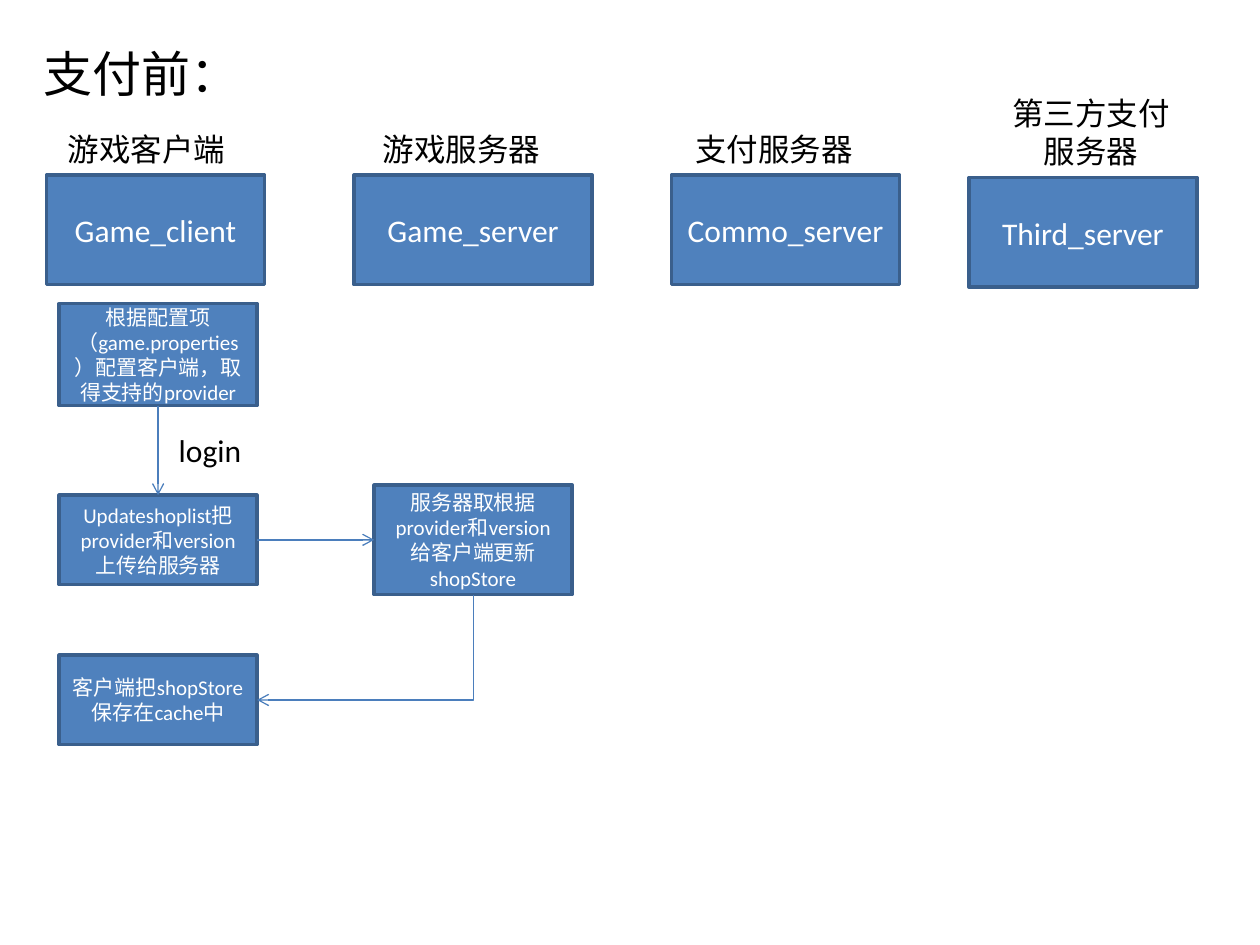
from lxml.etree import SubElement
from pptx import Presentation
from pptx.dml.color import RGBColor
from pptx.enum.shapes import MSO_CONNECTOR, MSO_SHAPE
from pptx.enum.text import MSO_ANCHOR, MSO_AUTO_SIZE, PP_ALIGN
from pptx.oxml.ns import qn
from pptx.util import Inches, Pt

COLORS = {"box": "4F81BD", "border": "3A5F8C", "arrow": "4B7EBC",
          "light": "FFFFFF", "dark": "000000"}
FONT = "Calibri"
COLUMNS, ROWS = 100, 75
CELL = Inches(10) // COLUMNS
TOP, LEFT, BOTTOM, RIGHT = range(4)

HEADER_HEIGHT = 8.7
STEP_WIDTH, STEP_HEIGHT = 15.7, 7.1
CLIENT_LEFT, SERVER_LEFT = 4.7, 29.7
LABEL_WIDTH = 16.4

SERVERS = [
    ("Game_client", 3.7, 13.9, 17.3),
    ("Game_server", 28.1, 13.9, 18.9),
    ("Commo_server", 53.3, 13.9, 18.1),
    ("Third_server", 76.9, 14.1, 18.1),
]
LABELS = [
    ("游戏客户端", 4.4, 9.8, 4, PP_ALIGN.LEFT),
    ("游戏服务器", 29.4, 9.8, 4, PP_ALIGN.LEFT),
    ("支付服务器", 54.2, 9.8, 4, PP_ALIGN.LEFT),
    ("第三方支付服务器", 78.4, 7, 7.1, PP_ALIGN.CENTER),
]


def grid(*cells):
    return [round(cell * CELL) for cell in cells]


def write(frame, text, size, color, align):
    paragraph = frame.paragraphs[0]
    paragraph.alignment = align
    run = paragraph.add_run()
    run.text = text
    run.font.name = FONT
    run.font.size = Pt(size)
    run.font.color.rgb = RGBColor.from_string(COLORS[color])


def add_box(slide, text, left, top, width, height, size):
    box = slide.shapes.add_shape(MSO_SHAPE.RECTANGLE, *grid(left, top, width, height))
    box.shadow.inherit = False
    box.fill.solid()
    box.fill.fore_color.rgb = RGBColor.from_string(COLORS["box"])
    box.line.color.rgb = RGBColor.from_string(COLORS["border"])
    box.line.width = Pt(2)
    box.text_frame.word_wrap = True
    box.text_frame.vertical_anchor = MSO_ANCHOR.MIDDLE
    write(box.text_frame, text, size, "light", PP_ALIGN.CENTER)
    return box


def add_label(slide, text, left, top, width, height, size=18, align=PP_ALIGN.LEFT):
    label = slide.shapes.add_textbox(*grid(left, top, width, height))
    label.text_frame.word_wrap = True
    label.text_frame.auto_size = MSO_AUTO_SIZE.SHAPE_TO_FIT_TEXT
    write(label.text_frame, text, size, "dark", align)


def style_arrow(arrow):
    arrow.line.color.rgb = RGBColor.from_string(COLORS["arrow"])
    arrow.line.width = Pt(0.75)
    SubElement(arrow.line._get_or_add_ln(), qn("a:tailEnd"), type="arrow")
    SubElement(arrow._element.spPr, qn("a:effectLst"))


def add_arrow(slide, source, source_side, target, target_side):
    arrow = slide.shapes.add_connector(MSO_CONNECTOR.STRAIGHT, 0, 0, 0, 0)
    arrow.begin_connect(source, source_side)
    arrow.end_connect(target, target_side)
    style_arrow(arrow)


def add_return_arrow(slide, source, target):
    start_x, start_y = source.left + source.width // 2, source.top + source.height
    end_x, end_y = target.left + target.width, target.top + target.height // 2
    run, drop = start_x - end_x, end_y - start_y
    left = (start_x + end_x - drop) // 2
    top = (start_y + end_y - run) // 2
    arrow = slide.shapes.add_connector(
        MSO_CONNECTOR.ELBOW, left, top, left + drop, top + run)
    properties = arrow._element.spPr
    properties.find(qn("a:xfrm")).set("rot", str(90 * 60000))
    properties.find(qn("a:prstGeom")).set("prst", "bentConnector2")
    style_arrow(arrow)


def add_flow(slide):
    configure = add_box(
        slide, "根据配置项（game.properties）配置客户端，取得支持的provider",
        CLIENT_LEFT, 24.1, STEP_WIDTH, 8.1, 12)
    refresh = add_box(
        slide, "服务器取根据provider和version给客户端更新shopStore",
        SERVER_LEFT, 38.5, STEP_WIDTH, HEADER_HEIGHT, 12)
    upload = add_box(
        slide, "Updateshoplist把provider和version上传给服务器",
        CLIENT_LEFT, 39.3, STEP_WIDTH, STEP_HEIGHT, 12)
    cache = add_box(
        slide, "客户端把shopStore保存在cache中",
        CLIENT_LEFT, 52, STEP_WIDTH, STEP_HEIGHT, 12)
    add_arrow(slide, configure, BOTTOM, upload, TOP)
    add_arrow(slide, upload, RIGHT, refresh, LEFT)
    add_return_arrow(slide, refresh, cache)
    add_label(slide, "login", 13.2, 33.7, 7.9, 4)


def main():
    presentation = Presentation()
    presentation.slide_width, presentation.slide_height = grid(COLUMNS, ROWS)
    slide = presentation.slides.add_slide(presentation.slide_layouts[6])
    for name, left, top, width in SERVERS:
        add_box(slide, name, left, top, width, HEADER_HEIGHT, 18)
    add_flow(slide)
    add_label(slide, "支付前：", 2.5, 3, 21.9, 5.7, 28)
    for text, left, top, height, align in LABELS:
        add_label(slide, text, left, top, LABEL_WIDTH, height, align=align)
    presentation.save("out.pptx")


if __name__ == "__main__":
    main()
